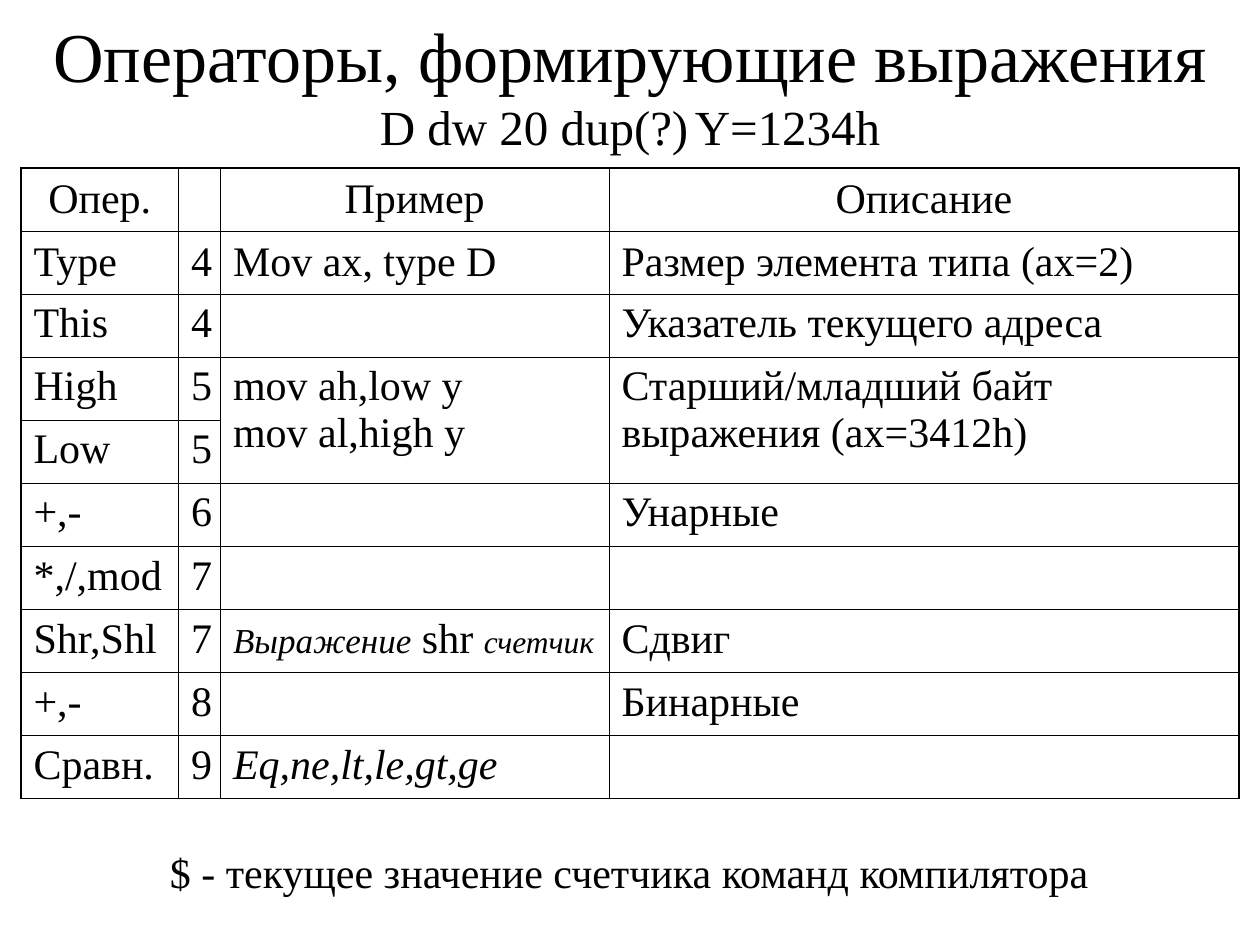
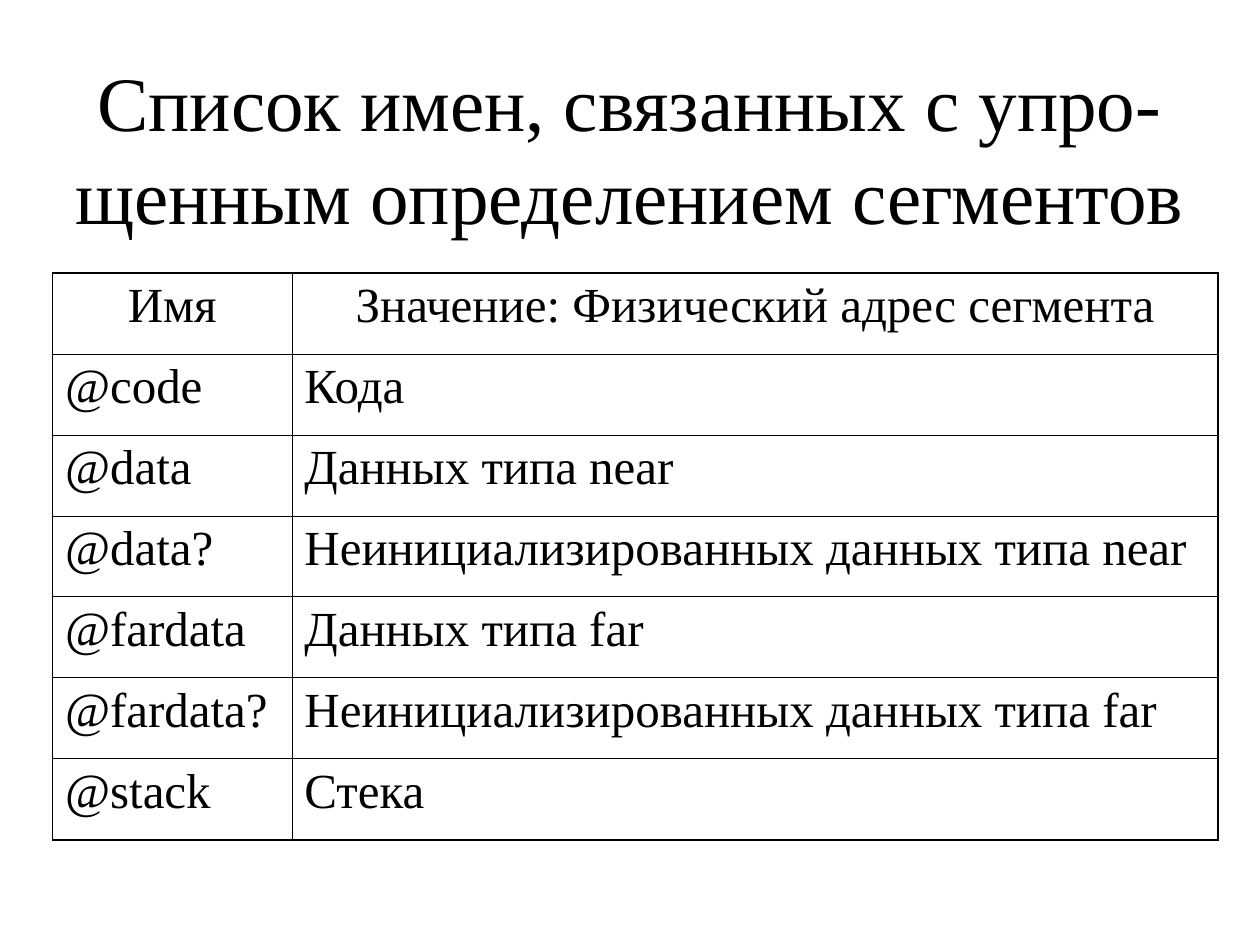
from dataclasses import dataclass

from lxml.etree import SubElement
from pptx import Presentation
from pptx.dml.color import RGBColor
from pptx.enum.text import MSO_ANCHOR, PP_ALIGN
from pptx.oxml.ns import qn
from pptx.slide import Slide
from pptx.table import _Cell
from pptx.text.text import TextFrame
from pptx.util import Emu, Pt

EMU_PER_PX = 7620
FONT = "Times New Roman"
COLORS = {"ink": "000000", "paper": "FFFFFF"}
OUTER_LINE, INNER_LINE = 1.08, 0.45


@dataclass(frozen=True)
class Span:
    text: str
    size: float | None = None
    italic: bool = False


@dataclass(frozen=True)
class Box:
    left: int
    top: int
    width: int
    height: int

    def emu(self) -> tuple[Emu, ...]:
        return tuple(map(px, (self.left, self.top, self.width, self.height)))


@dataclass(frozen=True)
class Grid:
    """A ruled table: the first row is the header, rows share the height equally."""
    box: Box
    columns: tuple[int, ...]
    rows: tuple[tuple, ...]
    size: float
    space_before: float
    middle_rows: int = 0
    row_pairs: tuple[tuple[int, int], ...] = ()
    left_line: float = OUTER_LINE


OPERATORS = Grid(
    Box(20, 160, 1160, 598),
    (150, 40, 370, 600),
    (
        ("Опер.", "", "Пример", "Описание"),
        ("Type", "4", "Mov ax, type D", "Размер элемента типа (ax=2)"),
        ("This", "4", "", "Указатель текущего адреса"),
        ("High", "5", "mov ah,low y\nmov al,high y",
         "Старший/младший байт выражения (ax=3412h)"),
        ("Low", "5", "", ""),
        ("+,-", "6", "", "Унарные"),
        ("*,/,mod", "7", "", ""),
        ("Shr,Shl", "7",
         (Span("Выражение", 20, True), Span(" shr "), Span("счетчик", 18, True)),
         "Сдвиг"),
        ("+,-", "8", "", "Бинарные"),
        ("Сравн.", "9", (Span("Eq,ne,lt,le,gt,ge", italic=True),), ""),
    ),
    size=24,
    space_before=6,
    middle_rows=2,
    row_pairs=((3, 2), (3, 3)),
)

SEGMENT_NAMES = Grid(
    Box(50, 260, 1110, 540),
    (228, 882),
    (
        ("Имя", "Значение: Физический адрес сегмента"),
        ("@code", "Кода"),
        ("@data", "Данных типа near"),
        ("@data?", "Неинициализированных данных типа near"),
        ("@fardata", "Данных типа far"),
        ("@fardata?", "Неинициализированных данных типа far"),
        ("@stack", "Стека"),
    ),
    size=28,
    space_before=7,
)


def px(length: float) -> Emu:
    return Emu(round(length * EMU_PER_PX))


def color(name: str) -> RGBColor:
    return RGBColor.from_string(COLORS[name])


def write(frame: TextFrame, text: str | tuple[Span, ...], *, size: float,
          align: PP_ALIGN = PP_ALIGN.LEFT, space_before: float = 0) -> None:
    """Fill the first paragraph; a newline in the text becomes a line break."""
    paragraph = frame.paragraphs[0]
    paragraph.alignment = align
    paragraph.space_before = Pt(space_before)
    for span in (Span(text),) if isinstance(text, str) else text:
        for number, line in enumerate(span.text.split("\n")):
            if number:
                paragraph.add_line_break()
            if not line:
                continue
            run = paragraph.add_run()
            run.text = line
            run.font.name = FONT
            run.font.size = Pt(span.size or size)
            run.font.italic = span.italic
            run.font.color.rgb = color("ink")


def add_text(slide: Slide, box: Box, text: str | tuple[Span, ...], *,
             anchor: MSO_ANCHOR = MSO_ANCHOR.TOP, **text_format) -> None:
    frame = slide.shapes.add_textbox(*box.emu()).text_frame
    frame.word_wrap = True
    frame.vertical_anchor = anchor
    write(frame, text, **text_format)


def add_title(slide: Slide, box: Box, text: str | tuple[Span, ...], size: float) -> None:
    add_text(slide, box, text, size=size, align=PP_ALIGN.CENTER,
             anchor=MSO_ANCHOR.MIDDLE)


def rule_cell(cell: _Cell, widths: dict[str, float]) -> None:
    """Draw the cell's borders, given in points by side; they must precede its fill."""
    properties = cell._tc.get_or_add_tcPr()
    for side, width in widths.items():
        line = SubElement(properties, qn(f"a:ln{side}"), w=str(Pt(width)))
        fill = SubElement(line, qn("a:solidFill"))
        SubElement(fill, qn("a:srgbClr"), val=COLORS["ink"])


def add_grid(slide: Slide, grid: Grid) -> None:
    row_count, column_count = len(grid.rows), len(grid.columns)
    table = slide.shapes.add_table(row_count, column_count, *grid.box.emu()).table
    table.first_row = table.horz_banding = False
    for column, width in zip(table.columns, grid.columns):
        column.width = px(width)
    for row in table.rows:
        row.height = px(grid.box.height / row_count)
    for top, left in grid.row_pairs:
        table.cell(top, left).merge(table.cell(top + 1, left))

    for r, entries in enumerate(grid.rows):
        for c, entry in enumerate(entries):
            cell = table.cell(r, c)
            rule_cell(cell, {
                "L": INNER_LINE if c else grid.left_line,
                "R": OUTER_LINE if c == column_count - 1 else INNER_LINE,
                "T": INNER_LINE if r else OUTER_LINE,
                "B": OUTER_LINE if r == row_count - 1 else INNER_LINE,
            })
            cell.fill.background()
            cell.vertical_anchor = (
                MSO_ANCHOR.MIDDLE if r < grid.middle_rows else MSO_ANCHOR.TOP)
            write(cell.text_frame, entry, size=grid.size,
                  align=PP_ALIGN.LEFT if r else PP_ALIGN.CENTER,
                  space_before=grid.space_before)


def add_page(deck: Presentation) -> Slide:
    slide = deck.slides.add_slide(deck.slide_layouts[6])
    slide.background.fill.solid()
    slide.background.fill.fore_color.rgb = color("paper")
    return slide


def main() -> None:
    deck = Presentation()
    deck.slide_width, deck.slide_height = px(1200), px(900)

    operators = add_page(deck)
    add_title(operators, Box(20, 0, 1160, 160),
              (Span("Операторы, формирующие выражения\n"),
               Span("D dw 20 dup(?)\tY=1234h", 28)), 40)
    add_grid(operators, OPERATORS)
    add_text(operators, Box(150, 800, 930, 60),
             "$ - текущее значение счетчика команд компилятора",
             size=24, space_before=15)

    segments = add_page(deck)
    add_title(segments, Box(20, 30, 1160, 220),
              "Список имен, связанных с упро-щенным определением сегментов", 44)
    add_grid(segments, SEGMENT_NAMES)

    deck.save("out.pptx")


if __name__ == "__main__":
    main()
